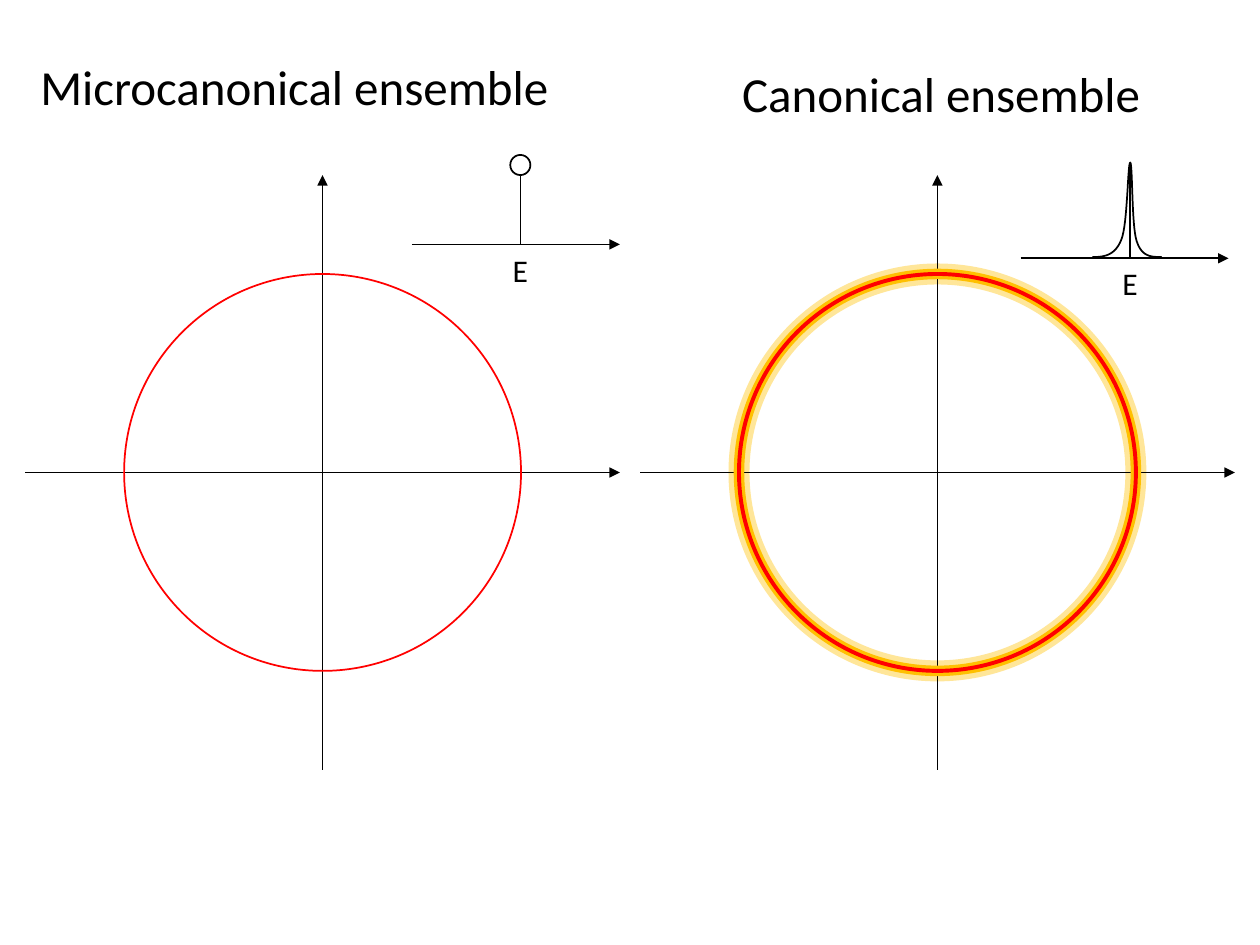
from dataclasses import dataclass

from lxml.etree import SubElement as add_node
from pptx import Presentation as Deck
from pptx.dml.color import RGBColor as Color
from pptx.enum.shapes import MSO_CONNECTOR as Link, MSO_SHAPE as Kind
from pptx.enum.text import MSO_ANCHOR as Anchor, PP_ALIGN as Align
from pptx.oxml.ns import qn
from pptx.util import Inches, Pt


@dataclass(frozen=True)
class Theme:
    font: str = "Calibri"
    black: str = "000000"
    red: str = "FF0000"
    gold: str = "FFC000"
    pale: str = "FFE699"
    head: float = 28
    label: float = 18
    thin: float = 1


@dataclass(frozen=True)
class Ring:
    color: str
    width: float


@dataclass(frozen=True)
class Panel:
    title: str
    box: tuple[float, float, float, float]
    mid: float              # centre of the phase plane
    back: tuple[Ring, ...]  # rings behind the axes
    front: tuple[Ring, ...]  # rings over the axes
    plot: tuple[float, float]  # left end of the energy axis
    peak: float             # place of E on that axis
    top: float              # upper end of the stem


THEME = Theme()
MID_Y, HALF, RADIUS = 3.75, 2.36, 1.575
PLOT_LEN = 1.65
DOT = 0.08

PANELS = (
    Panel("Microcanonical ensemble", (0.22, 0.4, 4.28, 0.57), 2.56,
          (), (Ring(THEME.red, 1),), (3.27, 1.94), 4.13, 1.39),
    Panel("Canonical ensemble", (5.79, 0.45, 3.39, 0.57), 7.44,
          (Ring(THEME.pale, 12),),
          (Ring(THEME.gold, 6), Ring(THEME.red, 2.25)),
          (8.1, 2.05), 8.97, 1.29),
)

# Bell curve: start point, then two controls and an end for each piece
START = (8.67, 2.04)
BELL = (
    ((8.76, 2.04), (8.85, 2.03), (8.9, 1.9)),
    ((8.95, 1.78), (8.95, 1.29), (8.97, 1.29)),
    ((8.99, 1.29), (8.98, 1.78), (9.02, 1.91)),
    ((9.06, 2.04), (9.14, 2.04), (9.22, 2.04)),
)
STEPS = 16


def set_line(shape, color: str, width: float) -> None:
    shape.line.color.rgb = Color.from_string(color)
    shape.line.width = Pt(width)


def draw_line(slide, start: tuple, end: tuple, arrow: bool = False) -> None:
    line = slide.shapes.add_connector(
        Link.STRAIGHT, *map(Inches, (*start, *end)))
    set_line(line, THEME.black, THEME.thin)
    if arrow:
        add_node(line.line._get_or_add_ln(), qn("a:tailEnd"), type="triangle")
    add_node(line._element.spPr, qn("a:effectLst"))


def draw_ring(slide, x: float, y: float, radius: float, ring: Ring) -> None:
    size = 2 * radius
    shape = slide.shapes.add_shape(
        Kind.OVAL, *map(Inches, (x - radius, y - radius, size, size)))
    shape.shadow.inherit = False
    shape.fill.background()
    set_line(shape, ring.color, ring.width)


def set_text(shape, text: str, size: float) -> None:
    frame = shape.text_frame
    frame.text = text
    frame.word_wrap = False
    frame.vertical_anchor = Anchor.TOP
    para = frame.paragraphs[0]
    para.alignment = Align.LEFT
    para.space_before = Pt(0)
    font = para.font
    font.name, font.size, font.bold = THEME.font, Pt(size), False
    font.color.rgb = Color.from_string(THEME.black)


def set_head(shape, panel: Panel) -> None:
    shape.left, shape.top, shape.width, shape.height = map(Inches, panel.box)
    set_text(shape, panel.title, THEME.head)


def draw_plane(slide, panel: Panel) -> None:
    x, y = panel.mid, MID_Y
    for ring in panel.back:
        draw_ring(slide, x, y, RADIUS, ring)
    draw_line(slide, (x, y + HALF), (x, y - HALF), arrow=True)
    draw_line(slide, (x - HALF, y), (x + HALF, y), arrow=True)
    for ring in panel.front:
        draw_ring(slide, x, y, RADIUS, ring)


def draw_plot(slide, panel: Panel) -> None:
    x, y = panel.plot
    draw_line(slide, (x, y), (x + PLOT_LEN, y), arrow=True)
    draw_line(slide, (panel.peak, y), (panel.peak, panel.top))
    label = slide.shapes.add_textbox(
        *map(Inches, (panel.peak - 0.16, y, 0.32, 0.4)))
    set_text(label, "E", THEME.label)


def trace_bell() -> list[tuple[int, int]]:
    points, last = [], START
    for piece in BELL:
        knots = (last, *piece)
        for step in range(1, STEPS + 1):
            t = step / STEPS
            u = 1 - t
            parts = (u**3, 3 * u * u * t, 3 * u * t * t, t**3)
            points.append(tuple(
                Inches(sum(part * knot[axis]
                           for part, knot in zip(parts, knots)))
                for axis in (0, 1)))
        last = piece[-1]
    return points


def draw_bell(slide) -> None:
    pen = slide.shapes.build_freeform(*map(Inches, START))
    pen.add_line_segments(trace_bell(), close=False)
    curve = pen.convert_to_shape()
    curve.shadow.inherit = False
    curve.fill.background()
    set_line(curve, THEME.black, THEME.thin)


def main() -> None:
    deck = Deck()
    deck.slide_width, deck.slide_height = Inches(10), Inches(7.5)
    slide = deck.slides.add_slide(deck.slide_layouts[4])

    # Headings take the title and first text holder; the rest go
    holders = list(slide.placeholders)
    for holder, panel in zip(holders, PANELS):
        set_head(holder, panel)
    for spare in holders[len(PANELS):]:
        spare._element.getparent().remove(spare._element)

    # Phase planes and energy plots
    for panel in PANELS:
        draw_plane(slide, panel)
        draw_plot(slide, panel)

    # Sharp energy on the left, spread energy on the right
    sharp = PANELS[0]
    draw_ring(slide, sharp.peak, sharp.top - DOT, DOT,
              Ring(THEME.black, THEME.thin))
    draw_bell(slide)

    deck.save("out.pptx")


if __name__ == "__main__":
    main()
